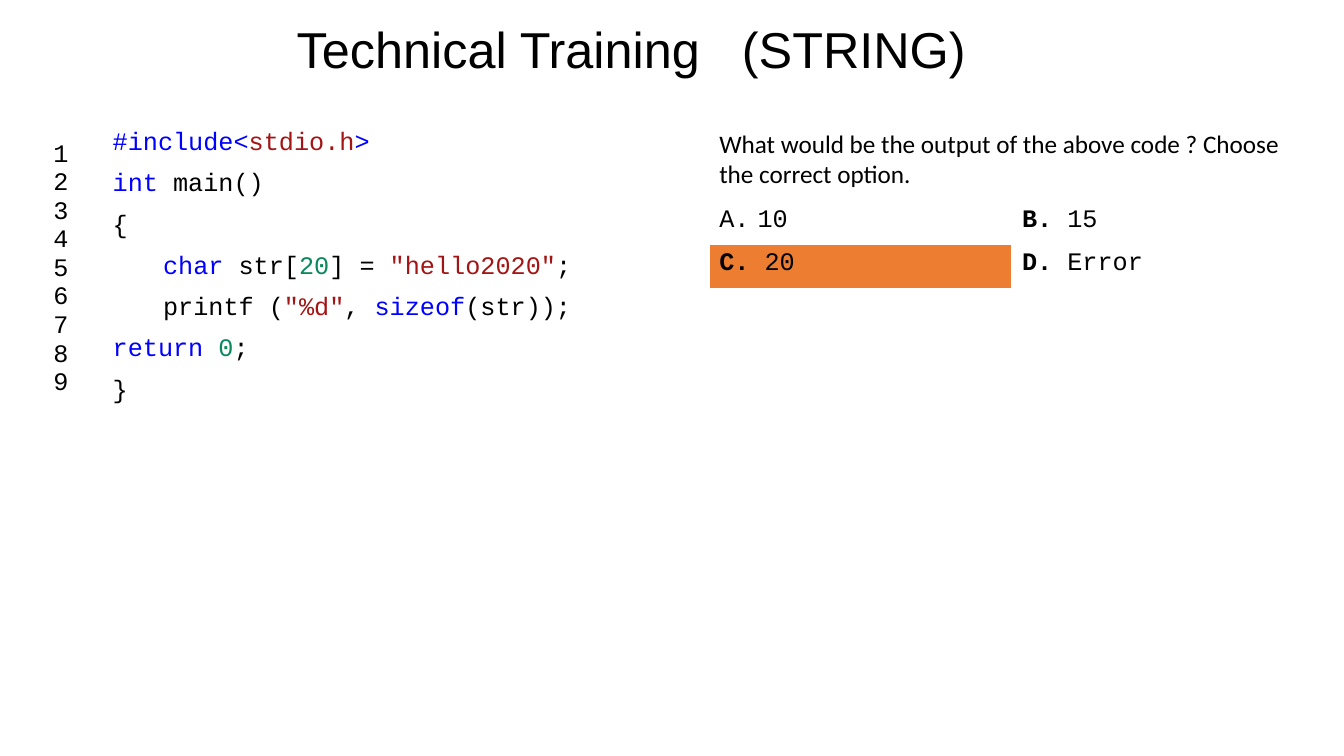
from lxml import etree
from pptx import Presentation, util as u
from pptx.dml.color import RGBColor
from pptx.enum import text
from pptx.oxml import ns

BLACK, BLUE, RED, GREEN = "000000", "0000FF", "A31515", "09885A"
WHITE, ORANGE = "FFFFFF", "ED7D31"
CODE_FONT = "Courier New"

presentation = Presentation()
presentation.slide_width = u.Inches(13.34)
presentation.slide_height = u.Inches(7.5)
slide = presentation.slides.add_slide(presentation.slide_layouts[6])


def write(paragraph, content, color=BLACK, font=CODE_FONT, size=18, bold=False, spacing=None):
    """Add one formatted run; spacing is the extra letter spacing in points."""
    run = paragraph.add_run()
    run.text = content
    run.font.name = font
    run.font.size = u.Pt(size)
    run.font.bold = bold
    run.font.color.rgb = RGBColor.from_string(color)
    if spacing:
        run.font._element.set("spc", str(spacing * 100))


def box(left, top, width, height):
    """Turn percentages of the slide's size into lengths."""
    across, down = presentation.slide_width / 100, presentation.slide_height / 100
    return [u.Emu(round(length)) for length in
            (left * across, top * down, width * across, height * down)]


TOP = 16.4
OPTION_ROW = 5.73
QUESTION_ROW = 10.27

# Tables: line numbers, then the question with its options
number_table = slide.shapes.add_table(1, 1, *box(3.22, TOP, 4.42, 38.53)).table
quiz_table = slide.shapes.add_table(
    3, 2, *box(52.77, TOP, 45.05, QUESTION_ROW + 2 * OPTION_ROW)).table
for table in (number_table, quiz_table):
    table.first_row = table.horz_banding = False
    for cell in table.iter_cells():
        cell.fill.solid()
        cell.fill.fore_color.rgb = RGBColor.from_string(WHITE)

number_cell = number_table.cell(0, 0)
number_cell.vertical_anchor = text.MSO_ANCHOR.MIDDLE
for number in range(1, 10):
    frame = number_cell.text_frame
    paragraph = frame.paragraphs[0] if number == 1 else frame.add_paragraph()
    write(paragraph, str(number))

for row, share in zip(quiz_table.rows, (QUESTION_ROW, OPTION_ROW, OPTION_ROW)):
    row.height = box(0, 0, 0, share)[3]
question_cell = quiz_table.cell(0, 0)
question_cell.merge(quiz_table.cell(0, 1))
write(question_cell.text_frame.paragraphs[0],
      "What would be the output of the above code ? Choose the correct option.",
      font="Calibri")

options = [("A.", "10"), ("B.", "15"), ("C.", "20"), ("D.", "Error")]
for index, (letter, answer) in enumerate(options):
    cell = quiz_table.cell(1 + index // 2, index % 2)
    paragraph = cell.text_frame.paragraphs[0]
    if letter == "A.":
        properties = paragraph._p.get_or_add_pPr()
        properties.set("marL", str(u.Inches(0.38)))
        properties.set("indent", str(-u.Inches(0.38)))
        etree.SubElement(properties, ns.qn("a:buFont")).set("typeface", CODE_FONT)
        etree.SubElement(properties, ns.qn("a:buAutoNum")).set("type", "alphaUcPeriod")
        write(paragraph, answer)
    else:
        write(paragraph, letter, bold=True)
        write(paragraph, " " + answer)
    if letter == "C.":
        cell.fill.fore_color.rgb = RGBColor.from_string(ORANGE)

# Code listing
code_lines = [
    [("#include<", BLUE), ("stdio.h", RED), (">", BLUE)],
    [("int", BLUE), (" main()", BLACK)],
    [("{", BLACK)],
    [("\tchar", BLUE), (" str[", BLACK), ("20", GREEN), ("] = ", BLACK),
     ('"hello2020"', RED), (";", BLACK)],
    [("\tprintf (", BLACK), ('"%d"', RED), (", ", BLACK), ("sizeof", BLUE),
     ("(str));", BLACK)],
    [("return ", BLUE), ("0", GREEN), (";", BLACK)],
    [("}", BLACK)],
]
code_frame = slide.shapes.add_textbox(*box(7.65, TOP, 50, 49.73)).text_frame
code_frame.word_wrap = True
for index, pieces in enumerate(code_lines):
    paragraph = code_frame.add_paragraph() if index else code_frame.paragraphs[0]
    paragraph.line_spacing = 0.9
    paragraph.space_before = u.Pt(10 if index else 0)
    for content, color in pieces:
        write(paragraph, content, color)

# Title, with one widened space before the topic
title_frame = slide.shapes.add_textbox(*box(17.17, 1.73, 59.6, 9.33)).text_frame
title_frame.word_wrap = True
title = title_frame.paragraphs[0]
title.alignment = text.PP_ALIGN.CENTER
write(title, "Technical Training", font="Arial", size=36)
write(title, " ", font="Arial", size=36, spacing=20)
write(title, "(STRING)", font="Arial", size=36)

presentation.save("out.pptx")
